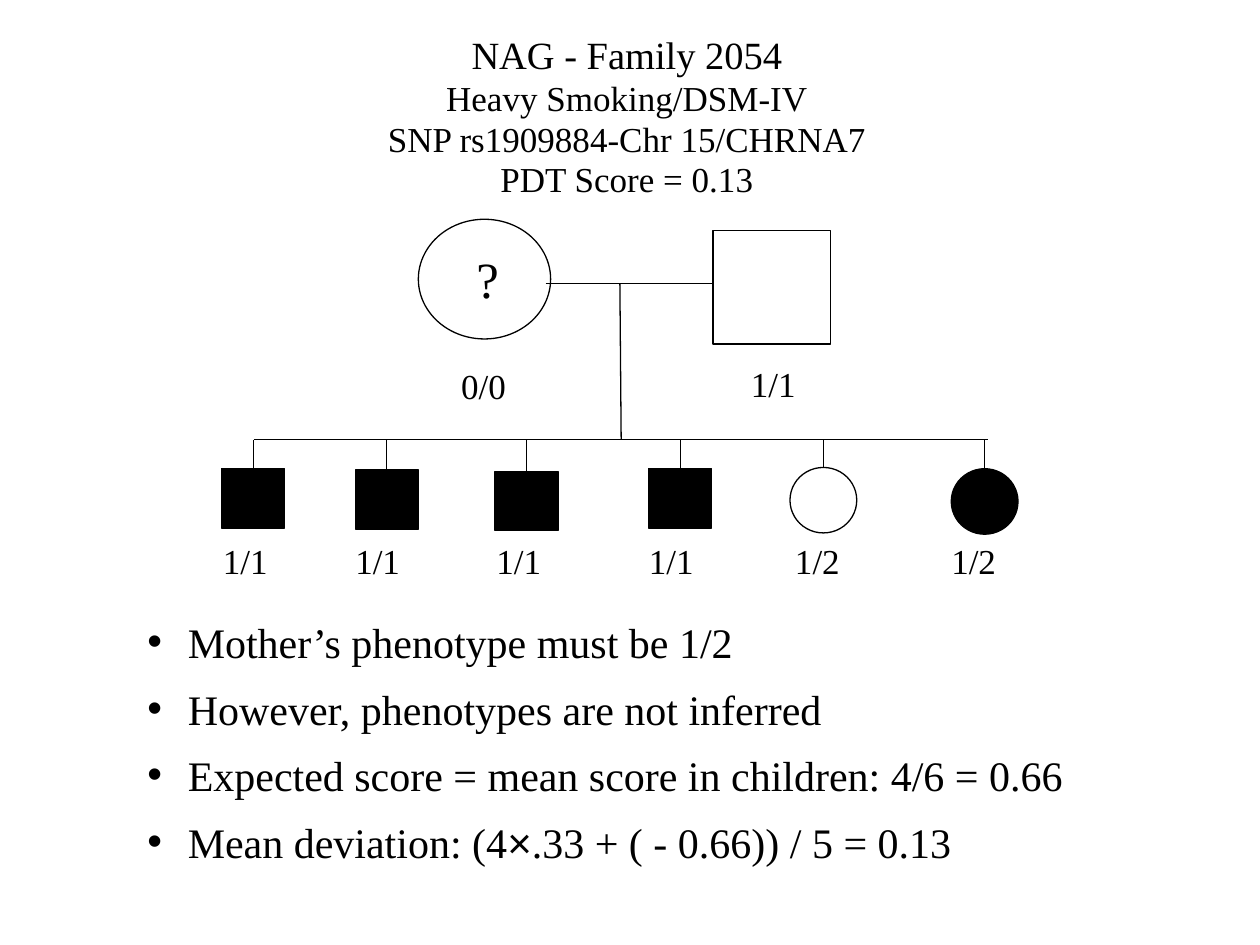
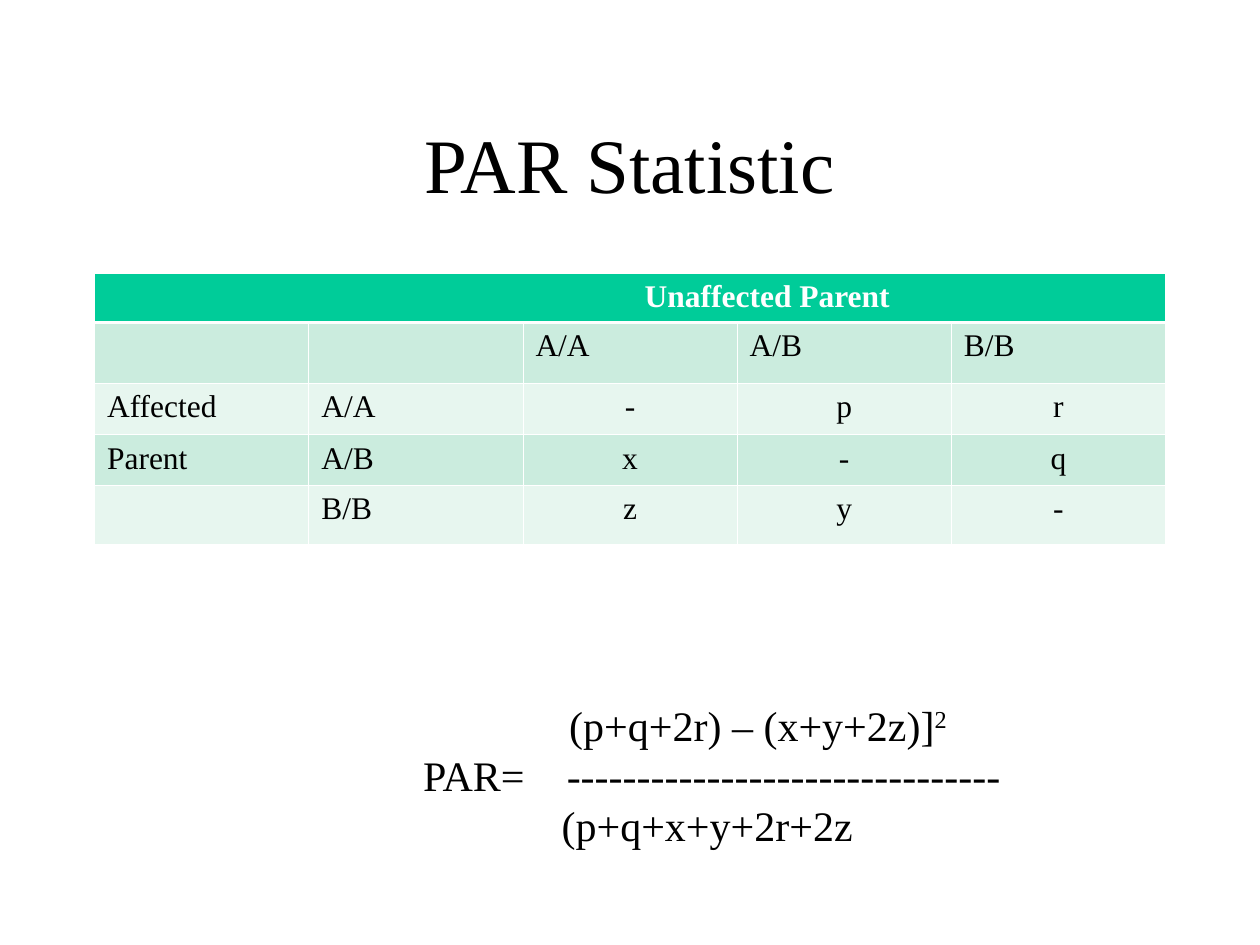
from lxml.etree import SubElement
from pptx import Presentation
from pptx.dml.color import RGBColor
from pptx.enum.shapes import MSO_CONNECTOR, MSO_SHAPE
from pptx.enum.text import MSO_ANCHOR, MSO_AUTO_SIZE, PP_ALIGN
from pptx.oxml.ns import qn
from pptx.util import Inches, Pt

BLACK = RGBColor(0x00, 0x00, 0x00)
WHITE = RGBColor(0xFF, 0xFF, 0xFF)
GREEN = RGBColor(0x00, 0xCC, 0x99)
MINT = RGBColor(0xCB, 0xEC, 0xDE)
PALE_MINT = RGBColor(0xE7, 0xF6, 0xEF)
SERIF = "Times New Roman"


def add_run(p, text, size=20, color=BLACK, font=SERIF, bold=False, superscript=False):
    r = p.add_run()
    r.text = text
    r.font.size = Pt(size)
    r.font.name = font
    r.font.bold = bold
    r.font.color.rgb = color
    if superscript:
        r._r.get_or_add_rPr().set("baseline", "30000")
    return r


def set_indent(p, left, first=0):
    pPr = p._p.get_or_add_pPr()
    pPr.set("marL", str(Inches(left)))
    pPr.set("indent", str(Inches(first)))


def set_borders(cell, **widths):
    tcPr = cell._tc.get_or_add_tcPr()
    for index, side in enumerate("LRTB"):
        ln = tcPr.makeelement(qn(f"a:ln{side}"), {"w": str(Pt(widths.get(side, 0.45)))})
        fill = SubElement(ln, qn("a:solidFill"))
        SubElement(fill, qn("a:srgbClr"), val=str(WHITE))
        tcPr.insert(index, ln)


class Deck:
    """Shared style plus the slide being built."""

    def __init__(self):
        self.prs = Presentation()
        self.prs.slide_width = Inches(10)
        self.prs.slide_height = Inches(7.5)
        self.s = None

    def new_slide(self, layout):
        self.s = self.prs.slides.add_slide(self.prs.slide_layouts[layout])

    def frame(self, sp, margins=(0, 0), anchor=MSO_ANCHOR.TOP, wrap=True):
        tf = sp.text_frame
        tf.auto_size = MSO_AUTO_SIZE.NONE
        tf.word_wrap = wrap
        tf.vertical_anchor = anchor
        tf.margin_left = tf.margin_right = Inches(margins[0])
        tf.margin_top = tf.margin_bottom = Inches(margins[1])
        return tf

    def fill_frame(self, tf, paragraphs, align=PP_ALIGN.LEFT, spacing=None, before=0):
        """Each paragraph is a list of (text, format) runs."""
        for i, runs in enumerate(paragraphs):
            p = tf.paragraphs[0] if i == 0 else tf.add_paragraph()
            p.alignment = align
            p.line_spacing = spacing
            p.space_before = Pt(before)
            for text, fmt in runs:
                add_run(p, text, **fmt)
        return tf.paragraphs

    def placeholder(self, index, x, y, w, h, **frame):
        sp = self.s.placeholders[index]
        sp.left, sp.top, sp.width, sp.height = map(Inches, (x, y, w, h))
        return self.frame(sp, **frame)

    def title(self, lines, box, spacing=None, **frame):
        tf = self.placeholder(0, *box, **frame)
        runs = [[(text, {"size": size})] for text, size in lines]
        self.fill_frame(tf, runs, PP_ALIGN.CENTER, spacing)

    def bullets(self, items, box):
        tf = self.placeholder(1, *box, margins=(0.09, 0.05))
        for p in self.fill_frame(tf, items, spacing=0.8, before=15):
            set_indent(p, 0.32, -0.32)

    def text(self, paragraphs, x, y, w, h, margins=(0, 0), wrap=True, **fmt):
        sp = self.s.shapes.add_textbox(*map(Inches, (x, y, w, h)))
        return self.fill_frame(self.frame(sp, margins, wrap=wrap), paragraphs, **fmt)

    def label(self, text, x, y, w=0.47, h=0.33, size=20):
        self.text([[(text, {"size": size})]], x, y, w, h, wrap=False, spacing=0.98)

    def person(self, kind, x, y, w, h, affected=False):
        sp = self.s.shapes.add_shape(kind, *map(Inches, (x, y, w, h)))
        sp.shadow.inherit = False
        sp.line.color.rgb = BLACK
        sp.line.width = Pt(0.75)
        if affected:
            sp.fill.solid()
            sp.fill.fore_color.rgb = BLACK
        else:
            sp.fill.background()
        return sp

    def line(self, x1, y1, x2, y2):
        c = self.s.shapes.add_connector(
            MSO_CONNECTOR.STRAIGHT, *map(Inches, (x1, y1, x2, y2)))
        c.line.color.rgb = BLACK
        c.line.width = Pt(0.75)
        SubElement(c._element.spPr, qn("a:effectLst"))
        return c

    def table(self, rows, heights, x, y, col_w):
        columns = len(rows[0])
        t = self.s.shapes.add_table(
            len(rows), columns, Inches(x), Inches(y),
            Inches(col_w * columns), Inches(sum(heights))).table
        for column in t.columns:
            column.width = Inches(col_w)
        for i, (row, height) in enumerate(zip(rows, heights)):
            t.rows[i].height = Inches(height)
            header = i == 0
            for j, text in enumerate(row):
                cell = t.cell(i, j)
                cell.fill.solid()
                cell.fill.fore_color.rgb = GREEN if header else (PALE_MINT, MINT)[i % 2]
                set_borders(cell, **({"B": 1.47} if header else {"T": 1.47} if i == 1 else {}))
                p = cell.text_frame.paragraphs[0]
                p.font.size = Pt(18)
                if text:
                    add_run(p, text, size=18, bold=header, color=WHITE if header else BLACK)
                    if header or (i > 1 and j > 1):
                        p.alignment = PP_ALIGN.CENTER
        return t


def build_pedigree(deck):
    deck.new_slide(1)
    deck.title([("NAG - Family 2054", 22), ("Heavy Smoking/DSM-IV", 20),
                ("SNP rs1909884-Chr 15/CHRNA7", 20), ("PDT Score = 0.13", 20)],
               (2.35, 0.27, 5.25, 1.33), spacing=0.97)

    # Parents
    square, circle = MSO_SHAPE.RECTANGLE, MSO_SHAPE.OVAL
    deck.person(circle, 3.32, 1.74, 1.05, 0.95)
    deck.person(square, 5.66, 1.83, 0.93, 0.9)
    deck.label("?", 3.78, 1.99, 0.42, 0.47, size=29)
    deck.label("0/0", 3.66, 2.91)
    deck.label("1/1", 5.96, 2.89)

    # Marriage, descent and sibling lines
    sibling_y = 3.49
    deck.line(4.33, 2.25, 5.65, 2.25)
    deck.line(4.92, 2.25, 4.93, sibling_y)
    deck.line(2.02, sibling_y, 7.84, sibling_y)

    # Children: shape, left, top, affected, genotype, label left
    children = [
        (square, 1.76, 3.72, True, "1/1", 1.77),
        (square, 2.82, 3.73, True, "1/1", 2.82),
        (square, 3.93, 3.74, True, "1/1", 3.94),
        (square, 5.15, 3.72, True, "1/1", 5.15),
        (circle, 6.27, 3.71, False, "1/2", 6.31),
        (circle, 7.55, 3.72, True, "1/2", 7.55),
    ]
    for kind, x, y, affected, genotype, label_x in children:
        w, h = (0.5, 0.47) if kind == square else (0.53, 0.52)
        child = deck.person(kind, x, y, w, h, affected)
        drop = deck.line(x + w / 2, sibling_y, x + w / 2, y)
        drop.end_connect(child, 0)
        deck.label(genotype, label_x, 4.3)

    # Conclusions
    body = {"size": 24}
    deck.bullets([
        [("Mother’s phenotype must be 1/2", body)],
        [("However, phenotypes are not inferred", body)],
        [("Expected score = mean score in children: 4/6 = 0.66", body)],
        [("Mean deviation: (4", body), ("×", {"size": 24, "font": "Arial"}),
         (".33 + ( - 0.66)) / 5 = 0.13", body)],
    ], (1.08, 4.92, 8.09, 2))


def build_par_statistic(deck):
    deck.new_slide(5)
    deck.title([("PAR Statistic", 44)], (0.75, 0.67, 8.5, 1.25),
               margins=(0.1, 0.05), anchor=MSO_ANCHOR.MIDDLE)

    # Parent genotype table, its heading centred to the right of the middle
    t = deck.table([
        ["Unaffected Parent", "", "", "", ""],
        ["", "", "A/A", "A/B", "B/B"],
        ["Affected", "A/A", "-", "p", "r"],
        ["Parent", "A/B", "x", "-", "q"],
        ["", "B/B", "z", "y", "-"],
    ], [0.39, 0.48, 0.41, 0.4, 0.47], 0.75, 2.17, 1.7)
    heading = t.cell(0, 0)
    heading.merge(t.cell(0, 4))
    set_indent(heading.text_frame.paragraphs[0], 2.18)

    # Formula: left side, then numerator, rule and denominator
    body = {"size": 24}
    margins = (0.1, 0.05)
    deck.text([[("PAR=", body)]], 3.26, 5.9, 1.05, 0.5, margins=margins)
    fraction = deck.text([
        [("(p+q+2r) – (x+y+2z)]", body), ("2", {"size": 24, "superscript": True})],
        [("-" * 31, body)],
        [("(p+q+x+y+2r+2z", body)],
    ], 4.36, 5.5, 4, 1.3, margins=margins)
    for p, left in zip(fraction, (0.06, 0.04, 0)):
        set_indent(p, left)


def main():
    deck = Deck()
    build_pedigree(deck)
    build_par_statistic(deck)
    deck.prs.save("out.pptx")


if __name__ == "__main__":
    main()
